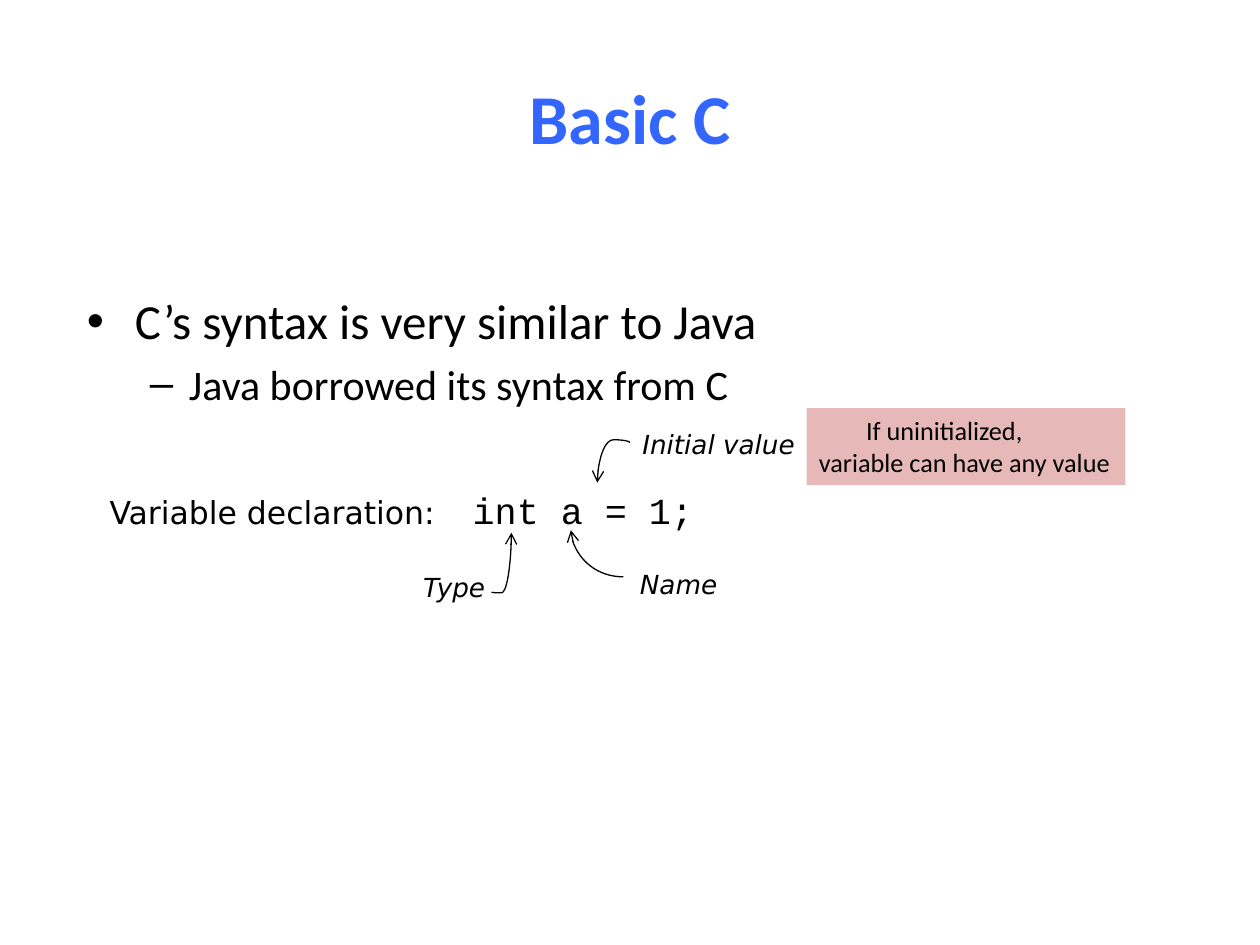
from lxml.etree import SubElement
from pptx import Presentation
from pptx.dml.color import RGBColor
from pptx.enum.shapes import MSO_CONNECTOR, MSO_SHAPE
from pptx.enum.text import MSO_ANCHOR, PP_ALIGN
from pptx.oxml.ns import qn
from pptx.util import Cm, Pt

BLACK = RGBColor(0x00, 0x00, 0x00)
BLUE = RGBColor(0x33, 0x66, 0xFF)
PINK = RGBColor(0xE6, 0xB9, 0xB8)
BODY_FONT, LABEL_FONT, CODE_FONT = "Calibri", "DejaVu Sans", "Courier New"

TITLE = "Basic C"
BULLETS = [
    ("•", "C’s syntax is very similar to Java", 28, 0.97, 0.97, 0),
    ("–", "Java borrowed its syntax from C", 24, 2.06, 0.79, 4.8),
]
DECLARATION = [("Variable declaration:\t", 18, LABEL_FONT), ("int a = 1;", 21, CODE_FONT)]
CODE_TAB = 7.32
LABELS = [
    ("Name", 12.65, 11.33, 2.08),
    ("Type", 8.28, 11.4, 1.8),
    ("Initial value", 12.7, 8.51, 3.68),
]
NOTE = [("If uninitialized,", 0.95), ("variable can have any value", 0)]
ARROWS = [
    ((12.57, 11.63), (11.51, 10.69), None),
    ((9.91, 11.94), (10.31, 10.74), -1100),
    ((12.7, 8.92), (12.04, 9.73), -6900),
]


def set_font(target, size, name, color=BLACK, bold=False, italic=False):
    font = target.font
    font.size, font.name = Pt(size), name
    font.color.rgb = color
    font.bold, font.italic = bold, italic


def add_text_box(slide, left, top, width, height, wrap=True):
    shape = slide.shapes.add_textbox(Cm(left), Cm(top), Cm(width), Cm(height))
    shape.text_frame.word_wrap = wrap
    return shape.text_frame


def add_paragraph(frame, index):
    return frame.add_paragraph() if index else frame.paragraphs[0]


def add_curved_arrow(slide, start, end, adjustment):
    turned = adjustment is not None
    if turned:
        center_x, center_y = ((a + b) / 2 for a, b in zip(start, end))
        start, end = (
            (center_x + y - center_y, center_y - x + center_x) for x, y in (start, end)
        )
    connector = slide.shapes.add_connector(
        MSO_CONNECTOR.CURVE, *(Cm(value) for value in (*start, *end))
    )
    connector.line.color.rgb = BLACK
    connector.line.width = Pt(0.75)
    properties = connector._element.spPr
    geometry = properties.find(qn("a:prstGeom"))
    if turned:
        properties.find(qn("a:xfrm")).set("rot", str(90 * 60000))
        guides = geometry.find(qn("a:avLst"))
        if guides is None:
            guides = SubElement(geometry, qn("a:avLst"))
        SubElement(guides, qn("a:gd"), name="adj1", fmla=f"val {adjustment}")
    else:
        geometry.set("prst", "curvedConnector2")
    SubElement(properties.find(qn("a:ln")), qn("a:tailEnd"), type="arrow")
    SubElement(properties, qn("a:effectLst"))


def main():
    presentation = Presentation()
    presentation.slide_width, presentation.slide_height = Cm(25.4), Cm(19.05)
    slide = presentation.slides.add_slide(presentation.slide_layouts[6])

    title = add_text_box(slide, 1.27, 0.76, 22.86, 3.18)
    title.vertical_anchor = MSO_ANCHOR.MIDDLE
    paragraph = title.paragraphs[0]
    paragraph.text = TITLE
    paragraph.alignment = PP_ALIGN.CENTER
    set_font(paragraph, 40, BODY_FONT, BLUE, bold=True)

    body = add_text_box(slide, 1.5, 5.74, 22.94, 3.05)
    for index, (bullet, text, size, margin, hanging, before) in enumerate(BULLETS):
        paragraph = add_paragraph(body, index)
        paragraph.text = text
        paragraph.level = index
        paragraph.space_before = Pt(before)
        properties = paragraph._p.get_or_add_pPr()
        properties.set("marL", str(Cm(margin)))
        properties.set("indent", str(-Cm(hanging)))
        SubElement(properties, qn("a:buFont"), typeface="Arial")
        SubElement(properties, qn("a:buChar"), char=bullet)
        set_font(paragraph, size, BODY_FONT)

    declaration = add_text_box(slide, 1.96, 9.7, 15.47, 1.14).paragraphs[0]
    tabs = SubElement(declaration._p.get_or_add_pPr(), qn("a:tabLst"))
    SubElement(tabs, qn("a:tab"), pos=str(Cm(CODE_TAB)), algn="l")
    for text, size, font in DECLARATION:
        run = declaration.add_run()
        run.text = text
        set_font(run, size, font)

    for text, left, top, width in LABELS:
        paragraph = add_text_box(slide, left, top, width, 0.89, wrap=False).paragraphs[0]
        paragraph.text = text
        set_font(paragraph, 15, LABEL_FONT, italic=True)

    for start, end, adjustment in ARROWS:
        add_curved_arrow(slide, start, end, adjustment)

    note = slide.shapes.add_shape(
        MSO_SHAPE.RECTANGLE, Cm(16.26), Cm(8.23), Cm(6.43), Cm(1.55)
    )
    note.shadow.inherit = False
    note.fill.solid()
    note.fill.fore_color.rgb = PINK
    note.line.fill.background()
    frame = note.text_frame
    frame.word_wrap = False
    frame.vertical_anchor = MSO_ANCHOR.TOP
    for index, (text, margin) in enumerate(NOTE):
        paragraph = add_paragraph(frame, index)
        paragraph.text = text
        paragraph.alignment = PP_ALIGN.LEFT
        paragraph._p.get_or_add_pPr().set("marL", str(Cm(margin)))
        set_font(paragraph, 15, BODY_FONT)

    presentation.save("out.pptx")


if __name__ == "__main__":
    main()
